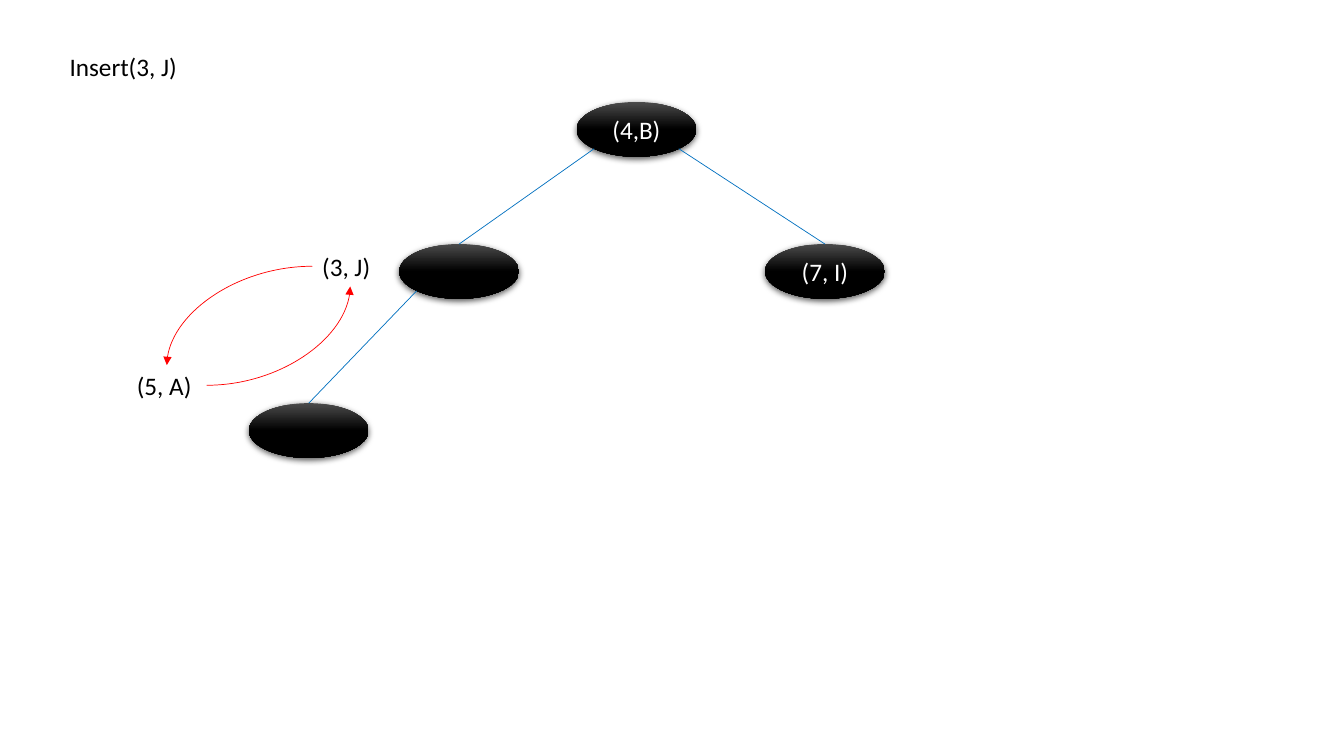
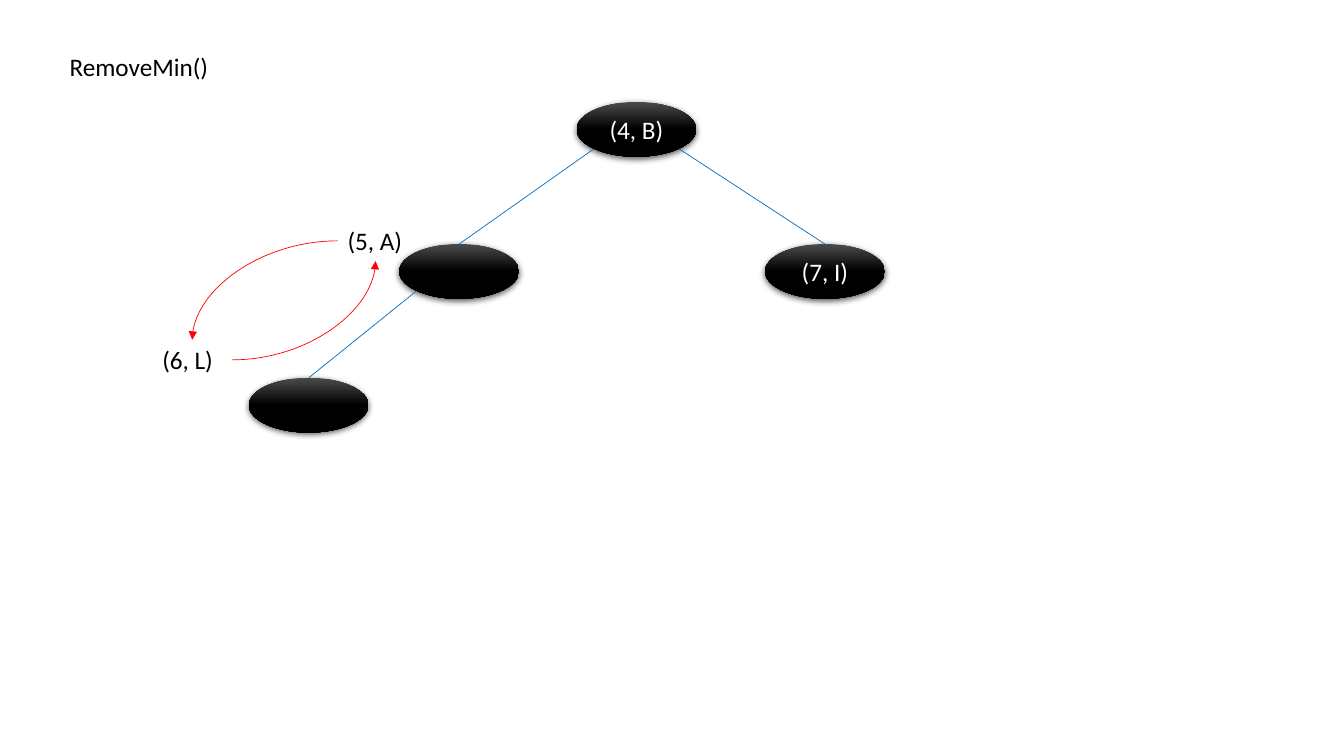
from copy import deepcopy
from math import sqrt

from pptx import Presentation
from pptx.dml.color import RGBColor
from pptx.enum.shapes import MSO_CONNECTOR, MSO_SHAPE
from pptx.enum.text import MSO_ANCHOR, MSO_AUTO_SIZE, PP_ALIGN
from pptx.oxml import parse_xml
from pptx.oxml.ns import nsdecls, qn
from pptx.util import Cm, Pt

HUES = {"sheen": "4B4B4B", "node": "000000", "ink": "000000",
        "light": "FFFFFF", "edge": "0070C0", "swap": "FF0000"}
FONT = "Calibri"
NODE_W, NODE_H = Cm(3.02), Cm(1.38)
TEXT_H = Cm(1.02)
SHIFT = 0.64  # step of the swap group between slides, in cm


def hue(name):
    return RGBColor.from_string(HUES[name])


def write(frame, text, ink, align=PP_ALIGN.LEFT, anchor=MSO_ANCHOR.TOP):
    frame.word_wrap = True
    frame.auto_size = MSO_AUTO_SIZE.NONE
    frame.vertical_anchor = anchor
    para = frame.paragraphs[0]
    para.alignment = align
    run = para.add_run()
    run.text = text
    run.font.name = FONT
    run.font.size = Pt(18)
    run.font.color.rgb = hue(ink)


def add_title(slide, text):
    title = slide.shapes.title
    title.left, title.top = Cm(1.5), Cm(1.17)
    title.width, title.height = Cm(4.17), TEXT_H
    write(title.text_frame, text, "ink")


def add_node(slide, left, top, text=""):
    node = slide.shapes.add_shape(MSO_SHAPE.OVAL, Cm(left), Cm(top), NODE_W, NODE_H)
    node.line.fill.background()
    # Dark gradient, black from the middle down
    node.fill.gradient()
    node.fill.gradient_angle = 270
    stops = node.fill.gradient_stops
    for stop, name, place in zip(stops, ("sheen", "node"), (0, 0.5)):
        stop.color.rgb = hue(name)
        stop.position = place
    group = node.element.spPr.find(qn("a:gradFill")).find(qn("a:gsLst"))
    last = deepcopy(group[-1])
    last.set("pos", "100000")
    group.append(last)
    # Soft shadow below
    node.shadow.inherit = False
    node.element.spPr.find(qn("a:effectLst")).append(parse_xml(
        f'<a:outerShdw {nsdecls("a")} blurRad="{Pt(4.5)}" dist="{Pt(1.5)}" '
        'dir="5400000" algn="ctr" rotWithShape="0"><a:srgbClr val="000000">'
        '<a:alpha val="63000"/></a:srgbClr></a:outerShdw>'))
    if text:
        write(node.text_frame, text, "light", PP_ALIGN.CENTER, MSO_ANCHOR.MIDDLE)
    return node


def add_label(slide, left, top, width, text):
    label = slide.shapes.add_textbox(Cm(left), Cm(top), Cm(width), TEXT_H)
    write(label.text_frame, text, "ink")
    return label


def add_line(slide, kind, start, end, name):
    line = slide.shapes.add_connector(kind, *start, *end)
    line.line.color.rgb = hue(name)
    line.line.width = Pt(0.5)
    line.element.spPr.append(parse_xml(f'<a:effectLst {nsdecls("a")}/>'))
    return line


def add_edge(slide, top, low, side):
    """Join the lower rim of a node (side -1 left, 1 right) to its child."""
    rim = (int(top.left + NODE_W / 2 * (1 + side / sqrt(2))),
           int(top.top + NODE_H / 2 * (1 + 1 / sqrt(2))))
    tip = (low.left + NODE_W // 2, low.top)
    edge = add_line(slide, MSO_CONNECTOR.STRAIGHT, rim, tip, "edge")
    edge.end_connect(low, 0)


def add_bend(slide, start, end):
    bend = add_line(slide, MSO_CONNECTOR.CURVE, start, end, "swap")
    bend.element.spPr.find(qn("a:prstGeom")).set("prst", "curvedConnector2")
    stroke = bend.element.spPr.find(qn("a:ln"))
    stroke.append(parse_xml(f'<a:tailEnd {nsdecls("a")} type="triangle"/>'))


def add_swap(slide, high, low):
    """Draw the two arrows that swap a pair of labels."""
    add_bend(slide, (high.left, high.top + TEXT_H // 2),
             (low.left + low.width // 2, low.top))
    add_bend(slide, (low.left + low.width, low.top + TEXT_H // 2),
             (high.left + high.width // 2, high.top + TEXT_H))


def add_heap(deck, title, root, pair, step):
    slide = deck.slides.add_slide(deck.slide_layouts[5])
    add_title(slide, title)
    move = step * SHIFT
    # Tree
    top = add_node(slide, 14.53, 2.57, root)
    left = add_node(slide, 10.06, 6.15)
    right = add_node(slide, 19.28, 6.15, "(7, I)")
    leaf = add_node(slide, 6.27, 10.16 - move)
    for head, child, side in ((top, left, -1), (top, right, 1), (left, leaf, -1)):
        add_edge(slide, head, child, side)
    # Swapped entries
    high = add_label(slide, 7.87 + move, 6.2 - move, 1.91, pair[0])
    low = add_label(slide, 3.2 + move, 9.2 - move, 2.01, pair[1])
    add_swap(slide, high, low)


def main():
    deck = Presentation()
    deck.slide_width, deck.slide_height = Cm(33.87), Cm(19.05)
    add_heap(deck, "Insert(3, J)", "(4,B)", ("(3, J)", "(5, A)"), 0)
    add_heap(deck, "RemoveMin()", "(4, B)", ("(5, A)", "(6, L)"), 1)
    deck.save("out.pptx")


if __name__ == "__main__":
    main()
